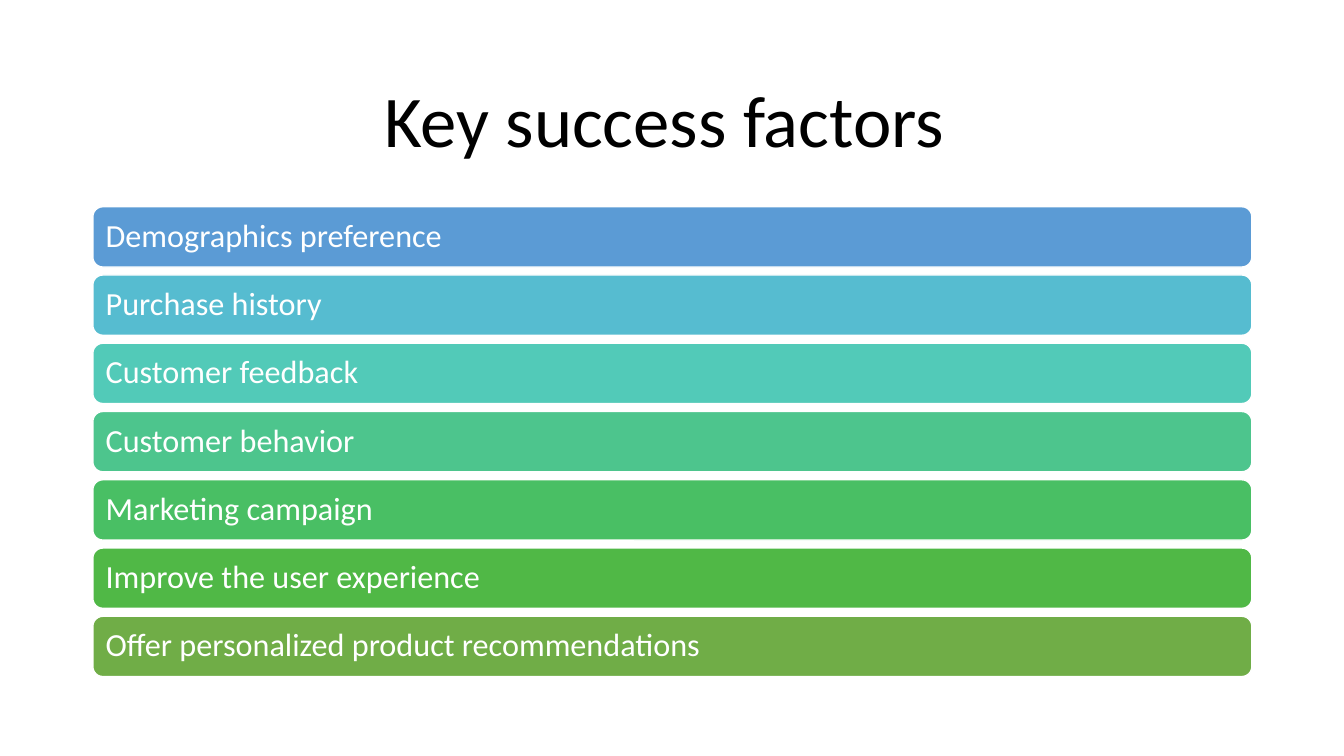
from pptx import Presentation
from pptx.dml.color import RGBColor
from pptx.enum.shapes import MSO_SHAPE
from pptx.enum.text import MSO_ANCHOR, PP_ALIGN
from pptx.util import Cm, Pt

TITLE = "Key success factors "
FACTORS = [
    ("Demographics preference", "blue"),
    ("Purchase history", "cyan"),
    ("Customer feedback", "teal"),
    ("Customer behavior", "mint"),
    ("Marketing campaign", "emerald"),
    ("Improve the user experience", "green"),
    ("Offer personalized product recommendations", "olive"),
]
COLORS = {
    "black": "000000",
    "white": "FFFFFF",
    "blue": "5B9BD5",
    "cyan": "56BCD0",
    "teal": "52CAB8",
    "mint": "4DC58D",
    "emerald": "49BF64",
    "green": "50B846",
    "olive": "70AD47",
}
FONT = "Calibri"
LEFT, WIDTH = 2.34, 29.21
TOP, HEIGHT, PITCH = 5.21, 1.52, 1.72
INSET = Cm(0.25)


def color(name):
    return RGBColor.from_string(COLORS[name])


def write(frame, text, size, tint, align, after):
    frame.text = text
    frame.word_wrap = True
    frame.vertical_anchor = MSO_ANCHOR.MIDDLE
    para = frame.paragraphs[0]
    para.alignment = align
    para.line_spacing = 0.9
    para.space_after = Pt(after)
    para.font.name = FONT
    para.font.size = Pt(size)
    para.font.color.rgb = color(tint)


def add_bar(slide, row, text, tint):
    bar = slide.shapes.add_shape(
        MSO_SHAPE.ROUNDED_RECTANGLE,
        Cm(LEFT), Cm(TOP + row * PITCH), Cm(WIDTH), Cm(HEIGHT))
    bar.shadow.inherit = False
    bar.fill.solid()
    bar.fill.fore_color.rgb = color(tint)
    bar.line.color.rgb = color("white")
    bar.line.width = Pt(1)
    frame = bar.text_frame
    frame.margin_left = frame.margin_right = INSET
    frame.margin_top = frame.margin_bottom = INSET
    write(frame, text, 23, "white", PP_ALIGN.LEFT, 8)


def main():
    deck = Presentation()
    deck.slide_width, deck.slide_height = Cm(33.87), Cm(19.05)
    slide = deck.slides.add_slide(deck.slide_layouts[5])
    title = slide.shapes.title
    title.left, title.top = Cm(LEFT), Cm(1.55)
    title.width, title.height = Cm(WIDTH), Cm(3.15)
    write(title.text_frame, TITLE, 52, "black", PP_ALIGN.CENTER, 6)
    for row, (text, tint) in enumerate(FACTORS):
        add_bar(slide, row, text, tint)
    deck.save("out.pptx")


if __name__ == "__main__":
    main()
